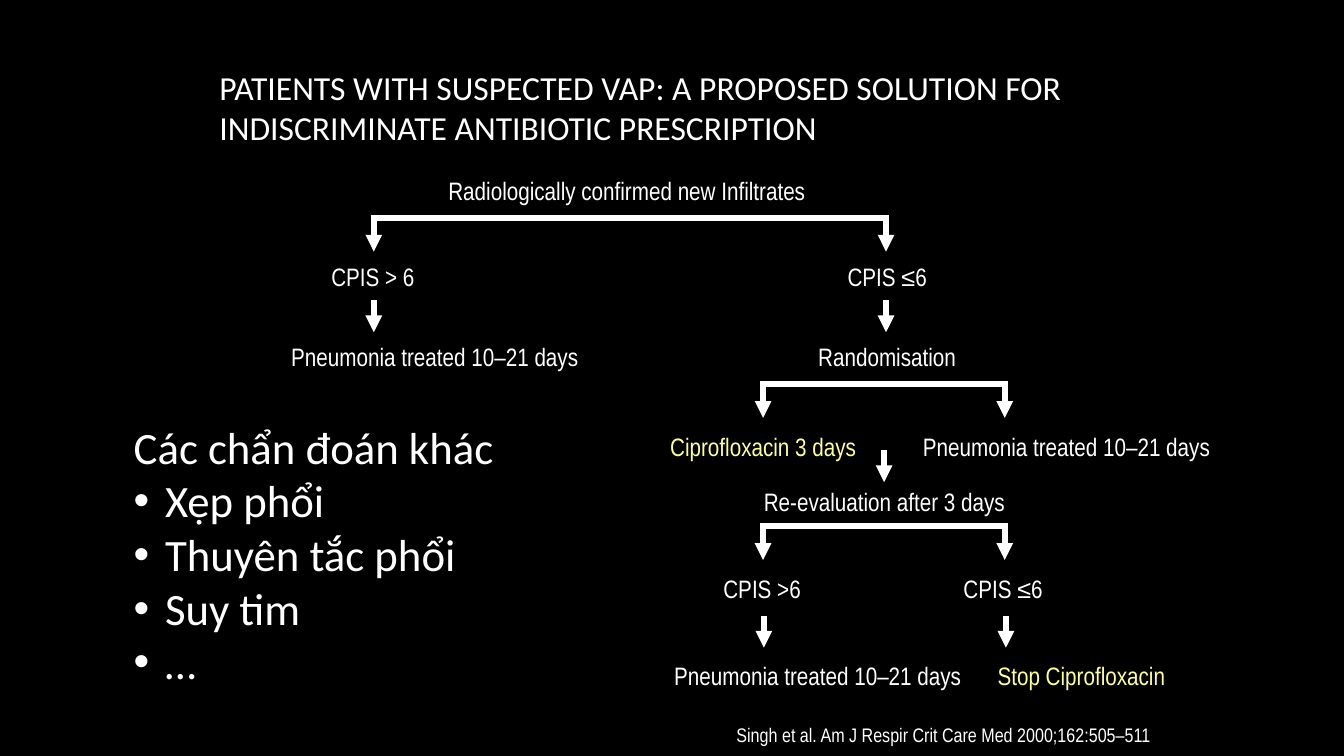
from lxml import etree
from pptx import Presentation
from pptx.dml.color import RGBColor
from pptx.enum import shapes, text
from pptx.oxml import ns
from pptx.util import Cm, Pt

COLORS = {"background": "000000", "main": "FFFFFF", "highlight": "FFFF99"}
BODY_FONT, CHART_FONT = "Calibri", "Arial Narrow"
LABEL_HEIGHT = 1.02
ARROW_LENGTH = 0.8
TREATED = "Pneumonia treated 10–21 days"

# Left and width of each label, by row offset from the top of the flowchart
LABEL_ROWS = {
    0: [(4.05, 9.53, "Radiologically confirmed new Infiltrates", "main")],
    2.16: [(1.1, 2.62, "CPIS > 6", "main"), (14.11, 2.51, "CPIS ≤6", "main")],
    4.19: [(0.09, 7.85, TREATED, "main"), (13.37, 3.99, "Randomisation", "main")],
    6.45: [(9.64, 5.21, "Ciprofloxacin 3 days", "highlight"),
           (16.01, 7.85, TREATED, "main")],
    7.85: [(12, 6.6, "Re-evaluation after 3 days", "main")],
    10.04: [(10.98, 2.46, "CPIS >6", "main"), (17.03, 2.51, "CPIS ≤6", "main")],
    12.22: [(9.74, 7.85, TREATED, "main"),
            (17.89, 4.78, "Stop Ciprofloxacin", "highlight")],
}
# Left branch, right branch, height of the bar
FORKS = [(2.42, 15.33, 1.2), (12.23, 18.32, 5.39), (12.23, 18.32, 8.97)]
STEP_ARROWS = [(2.42, 3.28), (15.33, 3.28), (15.28, 7.06),
               (12.25, 11.23), (18.35, 11.23)]


def add_text(slide, box, lines, size, font, color="main", wrap=True):
    """Adds a text box with one paragraph per line and returns its frame."""
    frame = slide.shapes.add_textbox(*map(Cm, box)).text_frame
    frame.word_wrap = wrap
    frame.text = "\n".join(lines)
    for paragraph in frame.paragraphs:
        for run in paragraph.runs:
            run.font.size = Pt(size)
            run.font.name = font
            run.font.color.rgb = RGBColor.from_string(COLORS[color])
    return frame


def add_line(slide, x1, y1, x2, y2, width=4, arrow=False):
    line = slide.shapes.add_connector(
        shapes.MSO_CONNECTOR.STRAIGHT, Cm(x1), Cm(y1), Cm(x2), Cm(y2))
    line.line.color.rgb = RGBColor.from_string(COLORS["main"])
    line.line.width = Pt(width)
    if arrow:
        etree.SubElement(line.line._get_or_add_ln(), ns.qn("a:tailEnd"), type="triangle")
    etree.SubElement(line._element.spPr, ns.qn("a:effectLst"))


def add_arrow(slide, x, y):
    add_line(slide, x, y, x, y + ARROW_LENGTH, arrow=True)


def add_fork(slide, left, right, y):
    """Draws a bar with an arrow down from each end."""
    add_line(slide, left - 0.08, y, right + 0.08, y)
    for x in (left, right):
        add_arrow(slide, x, y + 0.05)


def add_title(slide, box):
    frame = add_text(slide, box, [
        "PATIENTS WITH SUSPECTED VAP: A PROPOSED SOLUTION FOR "
        "INDISCRIMINATE ANTIBIOTIC PRESCRIPTION"], 24, BODY_FONT)
    frame.vertical_anchor = text.MSO_ANCHOR.MIDDLE


def add_flowchart(slide, left, top):
    add_line(slide, left + 2.5, top + 1.17, left + 15.12, top + 1.17, width=1)
    for row, labels in LABEL_ROWS.items():
        for x, width, label, color in labels:
            add_text(slide, (left + x, top + row, width, LABEL_HEIGHT),
                     [label], 18, CHART_FONT, color, wrap=False)
    for left_branch, right_branch, y in FORKS:
        add_fork(slide, left + left_branch, left + right_branch, top + y)
    for x, y in STEP_ARROWS:
        add_arrow(slide, left + x, top + y)


def add_other_diagnoses(slide, box):
    frame = add_text(
        slide, box,
        ["Các chẩn đoán khác", "Xẹp phổi", "Thuyên tắc phổi", "Suy tim", "…"],
        32, BODY_FONT, wrap=False)
    for diagnosis in frame.paragraphs[1:]:
        properties = diagnosis._p.get_or_add_pPr()
        properties.set("marL", str(Cm(0.79)))
        properties.set("indent", str(-Cm(0.79)))
        etree.SubElement(properties, ns.qn("a:buFont"), typeface="Arial")
        etree.SubElement(properties, ns.qn("a:buChar"), char="•")


def add_citation(slide, box):
    add_text(slide, box, ["Singh et al. Am J Respir Crit Care Med 2000;162:505–511"],
             14, CHART_FONT)


def main():
    deck = Presentation()
    deck.slide_width, deck.slide_height = Cm(33.87), Cm(19.05)
    slide = deck.slides.add_slide(deck.slide_layouts[6])
    fill = slide.background.fill
    fill.solid()
    fill.fore_color.rgb = RGBColor.from_string(COLORS["background"])

    add_citation(slide, (18.31, 18.08, 11.23, 0.84))
    add_title(slide, (5.28, 1.42, 24.33, 2.54))
    add_flowchart(slide, 7, 4.29)
    add_other_diagnoses(slide, (3.12, 10.44, 9.68, 7.09))
    deck.save("out.pptx")


if __name__ == "__main__":
    main()
